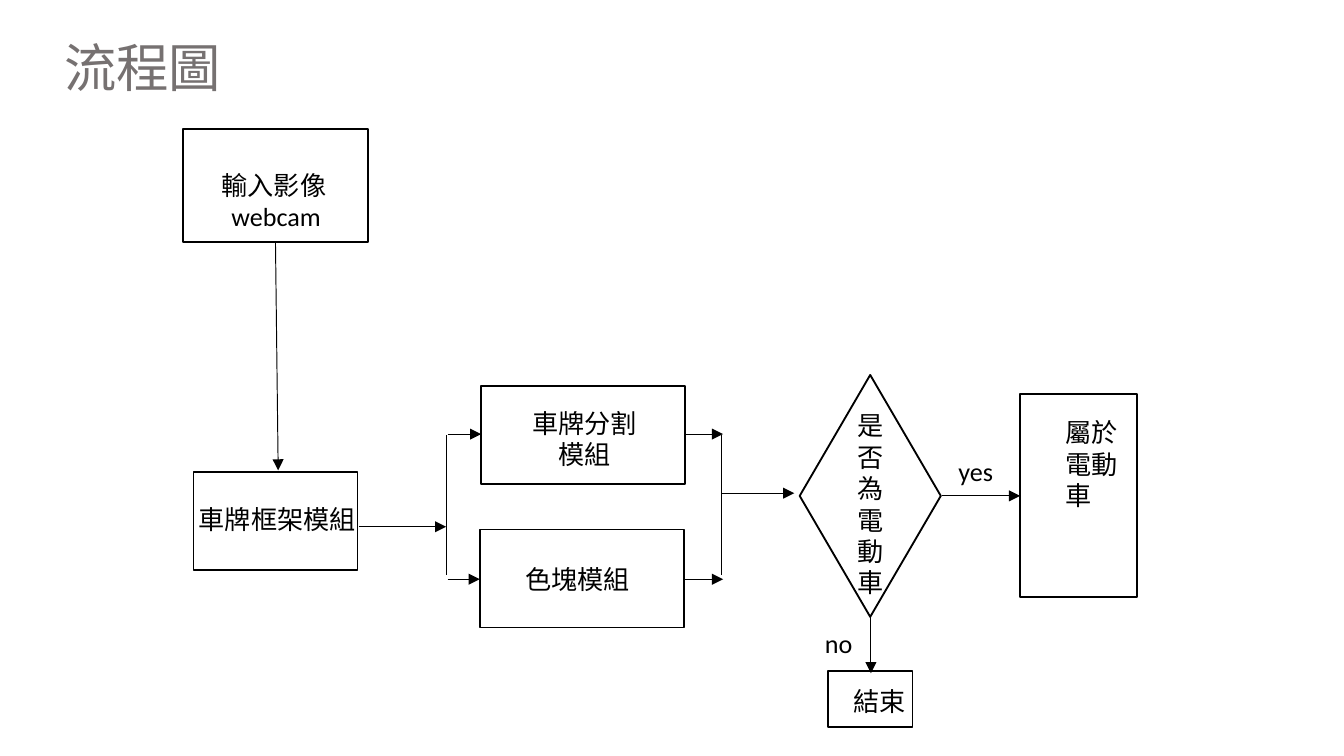
from lxml.etree import SubElement
from pptx import Presentation
from pptx.dml.color import RGBColor
from pptx.enum.shapes import MSO_CONNECTOR, MSO_SHAPE
from pptx.enum.text import MSO_AUTO_SIZE, PP_ALIGN
from pptx.oxml.ns import qn
from pptx.util import Inches, Pt

BLACK = RGBColor(0x00, 0x00, 0x00)
GRAY = RGBColor(0x76, 0x71, 0x71)
LEFT, CENTER = PP_ALIGN.LEFT, PP_ALIGN.CENTER
RECTANGLE, DECISION = MSO_SHAPE.RECTANGLE, MSO_SHAPE.FLOWCHART_DECISION

presentation = Presentation()
presentation.slide_width = Inches(10)
presentation.slide_height = Inches(10 * 9 / 16)
slide = presentation.slides.add_slide(presentation.slide_layouts[6])


def add_text(box, lines, size=14, font="Calibri", color=BLACK):
    text_frame = slide.shapes.add_textbox(*map(Inches, box)).text_frame
    text_frame.word_wrap = True
    text_frame.auto_size = MSO_AUTO_SIZE.SHAPE_TO_FIT_TEXT
    for index, (text, alignment) in enumerate(lines):
        paragraph = text_frame.add_paragraph() if index else text_frame.paragraphs[0]
        paragraph.alignment = alignment
        run = paragraph.add_run()
        run.text = text
        run.font.size = Pt(size)
        run.font.name = font
        run.font.color.rgb = color


add_text((0.38, 0.21, 1.42, 0.57), [("流程圖", LEFT)], 28, "Noto Sans CJK SC", GRAY)

nodes = [
    (RECTANGLE, (1.36, 0.96, 1.38, 0.84)),
    (RECTANGLE, (1.44, 3.51, 1.22, 0.73)),
    (RECTANGLE, (3.58, 2.87, 1.52, 0.73)),
    (RECTANGLE, (3.57, 3.94, 1.52, 0.73)),
    (DECISION, (5.95, 2.79, 1.05, 1.8)),
    (RECTANGLE, (7.59, 2.93, 0.87, 1.51)),
    (RECTANGLE, (6.16, 4.99, 0.63, 0.42)),
]
for kind, box in nodes:
    shape = slide.shapes.add_shape(kind, *map(Inches, box))
    shape.shadow.inherit = False
    shape.fill.background()
    shape.line.color.rgb = BLACK
    shape.line.width = Pt(1)

labels = [
    ((1.55, 1.21, 1.01, 0.57), [("輸入影像", LEFT), ("webcam", CENTER)]),
    ((1.38, 3.7, 1.38, 0.34), [("車牌框架模組", LEFT)]),
    ((3.77, 2.98, 1.16, 0.57), [("車牌分割模組", CENTER)]),
    ((3.81, 4.14, 1.16, 0.34), [("色塊模組", LEFT)]),
    ((6.28, 3, 0.34, 1.51), [("是否為電動車", LEFT)]),
    ((6.88, 3.34, 0.76, 0.34), [("yes", CENTER)]),
    ((7.83, 3.05, 0.6, 1.28), [("屬於電動車", LEFT)]),
    ((5.86, 4.62, 0.76, 0.34), [("no", CENTER)]),
    ((6.25, 5.05, 0.63, 0.34), [("結束", LEFT)]),
]
for box, lines in labels:
    add_text(box, lines)

arrows = [
    (2.05, 1.8, 2.07, 3.5),
    (2.67, 3.92, 3.32, 3.92),
    (3.33, 3.23, 3.58, 3.23),
    (3.33, 4.31, 3.57, 4.31),
    (5.1, 3.23, 5.38, 3.23),
    (5.09, 4.31, 5.38, 4.31),
    (5.37, 3.67, 5.91, 3.67),
    (7.01, 3.69, 7.59, 3.69),
    (6.48, 4.59, 6.48, 5.01),
]
brackets = [(x, 3.24, x, 4.28) for x in (3.32, 5.37)]
for ends in arrows + brackets:
    connector = slide.shapes.add_connector(MSO_CONNECTOR.STRAIGHT, *map(Inches, ends))
    connector.line.color.rgb = BLACK
    connector.line.width = Pt(0.5)
    properties = connector._element.spPr
    if ends in arrows:
        SubElement(properties.find(qn("a:ln")), qn("a:tailEnd"), type="triangle")
    SubElement(properties, qn("a:effectLst"))

presentation.save("out.pptx")
